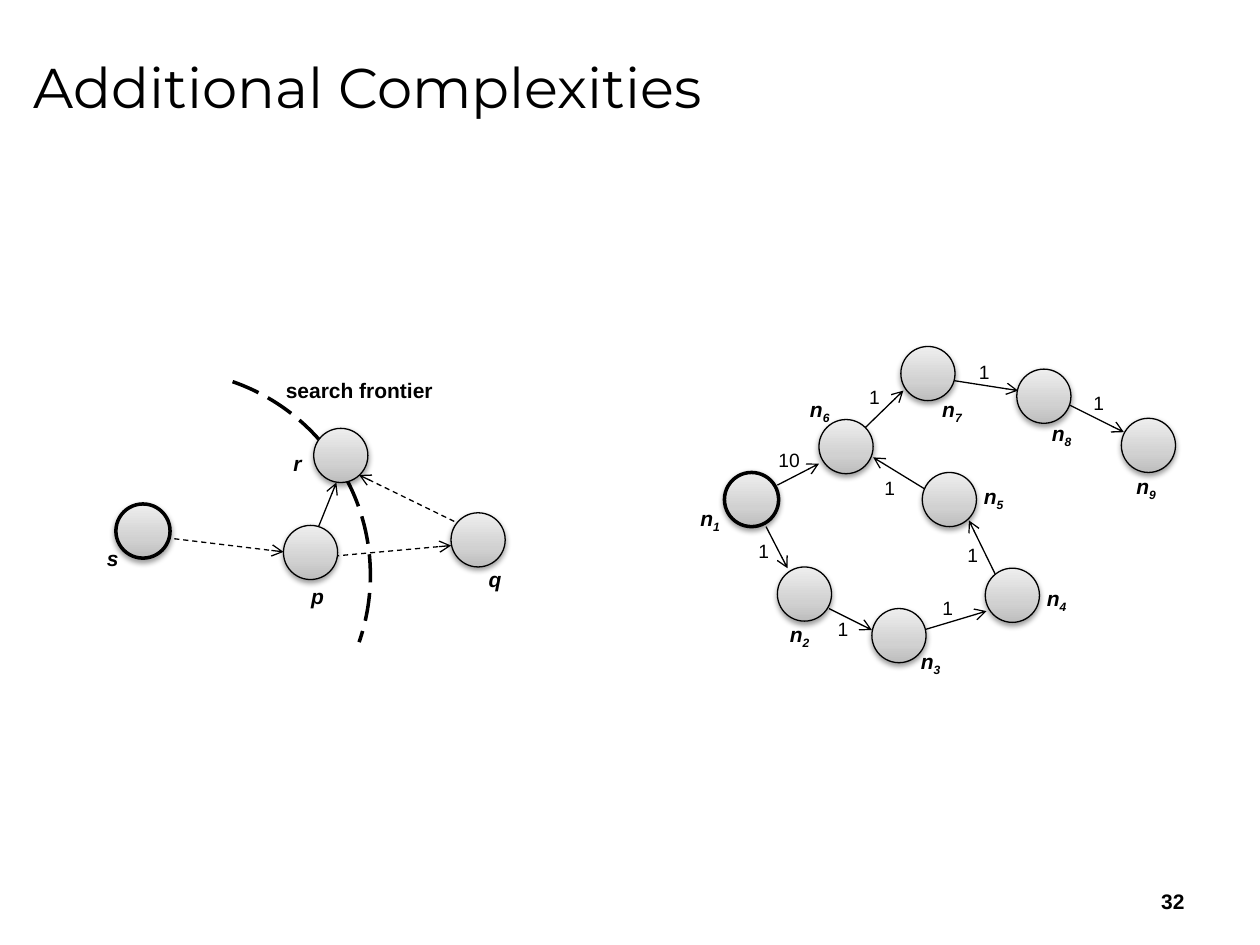
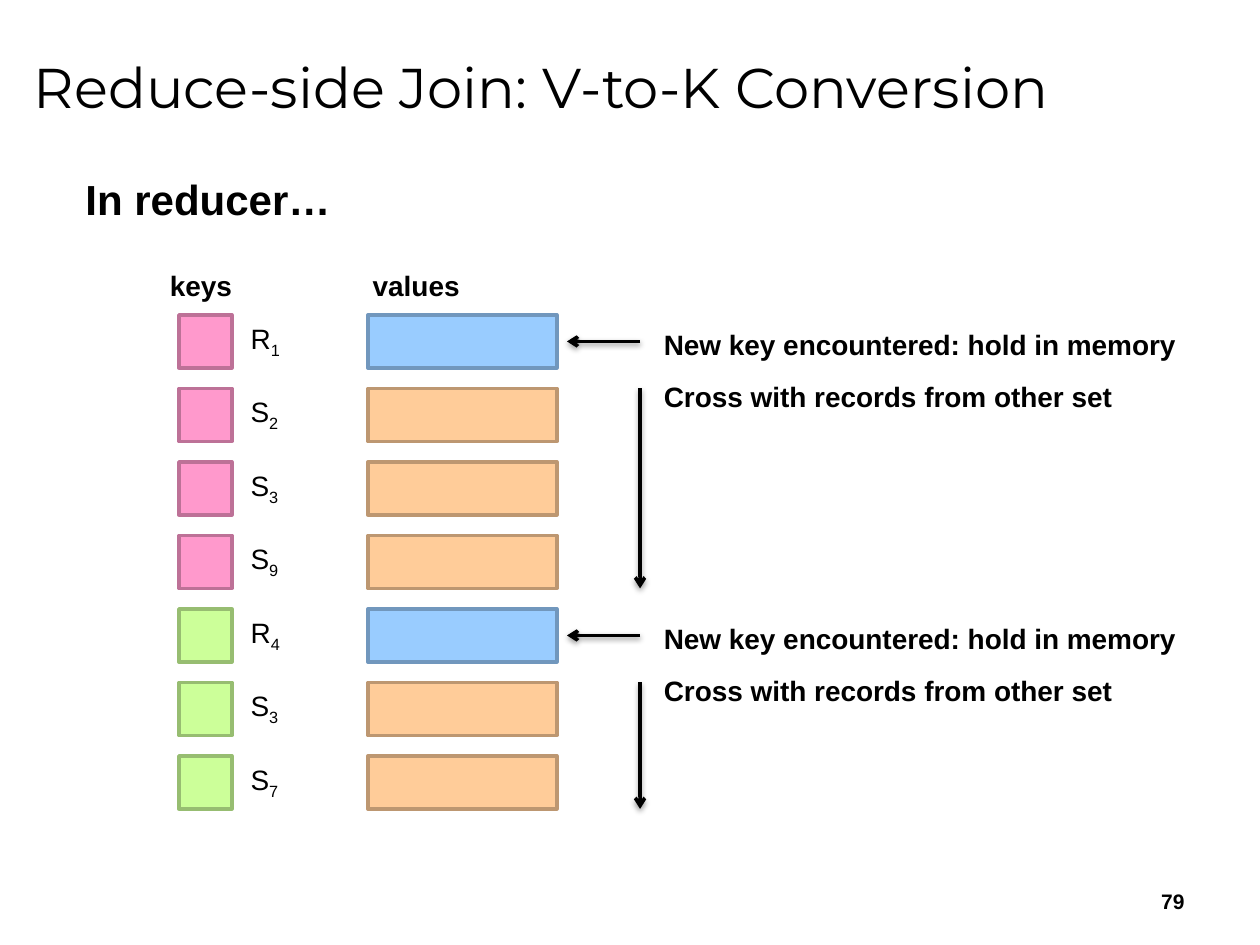
from lxml.etree import SubElement
from pptx import Presentation
from pptx.dml.color import RGBColor
from pptx.enum.dml import MSO_LINE
from pptx.enum.shapes import MSO_CONNECTOR, MSO_SHAPE
from pptx.enum.text import MSO_ANCHOR, MSO_AUTO_SIZE, PP_ALIGN
from pptx.oxml.ns import qn
from pptx.util import Inches, Pt

BLACK = "000000"
BLUE, ORANGE = ("99CCFF", "7197BD"), ("FFCC99", "BD9771")
PINK, GREEN = ("FF99CC", "BD7197"), ("CCFF99", "97BD71")
NODE_GRADIENT = ((0, "BDBDBD"), (35, "D1D1D1"), (100, "EEEEEE"))
NODE = 0.43
DASH = MSO_LINE.DASH


def rgb(color):
    return RGBColor.from_string(color)


def add_xml(parent, tag, **attrs):
    return SubElement(parent, qn(tag), {k: str(v) for k, v in attrs.items()})


def add_color(parent, color):
    return add_xml(parent, "a:srgbClr", val=color)


class Deck:
    font = "Arial"
    title_font = "Montserrat"

    def __init__(self):
        self.prs = Presentation()
        self.prs.slide_width, self.prs.slide_height = Inches(10), Inches(7.5)

    def slide(self, title, number):
        self.s = self.prs.slides.add_slide(self.prs.slide_layouts[6])
        self.text(0.17, 0.12, 9.5, 1.12, title, 32, font=self.title_font,
                  wrap=True, anchor=MSO_ANCHOR.MIDDLE)
        self.text(7.17, 6.95, 2.33, 0.4, number, 12, bold=True, wrap=True,
                  anchor=MSO_ANCHOR.MIDDLE, align=PP_ALIGN.RIGHT)

    def text(self, x, y, w, h, text, size, sub="", bold=False, italic=False,
             font=None, wrap=False, anchor=MSO_ANCHOR.TOP, align=PP_ALIGN.LEFT):
        box = self.s.shapes.add_textbox(Inches(x), Inches(y), Inches(w), Inches(h))
        tf = box.text_frame
        tf.word_wrap = wrap
        tf.auto_size = MSO_AUTO_SIZE.NONE if wrap else MSO_AUTO_SIZE.SHAPE_TO_FIT_TEXT
        tf.vertical_anchor = anchor
        p = tf.paragraphs[0]
        p.alignment = align
        p.font.size, p.font.name = Pt(size), font or self.font
        p.font.bold, p.font.italic = bold, italic
        p.font.color.rgb = rgb(BLACK)
        p.add_run().text = text
        if sub:
            r = p.add_run()
            r.text = sub
            r.font._element.set("baseline", "-25000")

    def outline(self, line, color, width, dash=None):
        line.color.rgb = rgb(color)
        line.width = Pt(width)
        if dash:
            line.dash_style = dash

    def effects(self, sp, shadow):
        effects = add_xml(sp._element.spPr, "a:effectLst")
        if shadow:
            outer = add_xml(effects, "a:outerShdw", blurRad=40000, dist=20000,
                            dir=5400000, rotWithShape=0)
            add_xml(add_color(outer, BLACK), "a:alpha", val=38000)

    def shape(self, kind, x, y, w, h):
        return self.s.shapes.add_shape(kind, Inches(x), Inches(y), Inches(w), Inches(h))

    def box(self, x, y, w, h, colors):
        sp = self.shape(MSO_SHAPE.RECTANGLE, x, y, w, h)
        sp.fill.solid()
        sp.fill.fore_color.rgb = rgb(colors[0])
        self.outline(sp.line, colors[1], 2)
        self.effects(sp, False)

    def node(self, x, y, width=0.75):
        sp = self.shape(MSO_SHAPE.OVAL, x, y, NODE, NODE)
        grad = add_xml(sp._element.spPr, "a:gradFill", rotWithShape=1)
        stops = add_xml(grad, "a:gsLst")
        for pos, color in NODE_GRADIENT:
            add_color(add_xml(stops, "a:gs", pos=pos * 1000), color)
        add_xml(grad, "a:lin", ang=16200000, scaled=0)
        self.outline(sp.line, BLACK, width)
        self.effects(sp, True)

    def arc(self, x, y, size, rotation):
        sp = self.shape(MSO_SHAPE.ARC, x, y, size, size)
        sp.rotation = rotation
        sp.fill.background()
        self.outline(sp.line, BLACK, 2, MSO_LINE.LONG_DASH)
        self.effects(sp, False)

    def arrow(self, x1, y1, x2, y2, width=0.75, dash=None, shadow=False):
        c = self.s.shapes.add_connector(MSO_CONNECTOR.STRAIGHT, Inches(x1), Inches(y1),
                                        Inches(x2), Inches(y2))
        self.outline(c.line, BLACK, width, dash)
        add_xml(c.line._get_or_add_ln(), "a:tailEnd", type="arrow")
        self.effects(c, shadow)


def complexities(deck):
    deck.slide("Additional Complexities", "32")
    deck.arc(-0.31, 2.94, 3.25, 19.1)
    for *ends, dash in (
        (1.17, 4.25, 2.25, 4.38, DASH),
        (2.58, 4.42, 3.58, 4.33, DASH),
        (3.67, 4.17, 2.85, 3.77, DASH),
        (2.5, 4.25, 2.67, 3.83, None),
    ):
        deck.arrow(*ends, dash=dash)
    for name, x, y, label_x, label_y, label_w, width in (
        ("s", 0.92, 4, 0.75, 4.28, 0.29, 2),
        ("r", 2.49, 3.4, 2.23, 3.53, 0.27, 0.75),
        ("p", 2.25, 4.17, 2.37, 4.58, 0.31, 0.75),
        ("q", 3.58, 4.07, 3.78, 4.45, 0.31, 0.75),
    ):
        deck.node(x, y, width)
        deck.text(label_x, label_y, label_w, 0.3, name, 12, bold=True, italic=True)
    deck.text(2.17, 2.95, 1.38, 0.3, "search frontier", 12, bold=True)

    edges = (
        (6.17, 3.85, 6.5, 3.68, "10", 6.08, 3.51),
        (6.08, 4.18, 6.25, 4.51, "1", 5.92, 4.23),
        (6.58, 4.83, 6.92, 5, "1", 6.55, 4.85),
        (7.33, 5, 7.83, 4.85, "1", 7.38, 4.68),
        (7.92, 4.6, 7.69, 4.13, "1", 7.58, 4.26),
        (7.42, 3.93, 6.93, 3.63, "1", 6.92, 3.73),
        (6.83, 3.43, 7.17, 3.1, "1", 6.8, 3.01),
        (7.5, 3.01, 8.08, 3.1, "1", 7.67, 2.81),
        (8.42, 3.18, 8.92, 3.43, "1", 8.58, 3.06),
    )
    nodes = (
        (5.75, 3.75, 5.46, 3.96),
        (6.17, 4.5, 6.17, 4.88),
        (6.92, 4.83, 7.21, 5.1),
        (7.82, 4.51, 8.21, 4.6),
        (7.32, 3.75, 7.71, 3.79),
        (6.5, 3.33, 6.33, 3.1),
        (7.15, 2.75, 7.38, 3.1),
        (8.07, 2.93, 8.25, 3.29),
        (8.9, 3.32, 8.92, 3.71),
    )
    for *ends, cost, x, y in edges:
        deck.arrow(*ends)
    for i, (x, y, label_x, label_y) in enumerate(nodes, 1):
        deck.node(x, y, 2 if i == 1 else 0.75)
        deck.text(label_x, label_y, 0.37, 0.3, "n", 12, str(i), bold=True, italic=True)
    for *ends, cost, x, y in edges:
        deck.text(x, y, 0.21 + 0.08 * len(cost), 0.29, cost, 11)


def reduce_side_join(deck):
    deck.slide("Reduce-side Join: V-to-K Conversion", "79")
    deck.text(0.58, 1.33, 2.17, 0.5, "In reducer…", 24, bold=True)
    deck.text(1.25, 2.08, 0.7, 0.37, "keys", 16, bold=True)
    deck.text(2.86, 2.08, 0.9, 0.37, "values", 16, bold=True)

    top, pitch, side = 2.5, 7 / 12, 0.42
    groups = ((PINK, ("R1", "S2", "S3", "S9")), (GREEN, ("R4", "S3", "S7")))
    for key_colors, records in groups:
        last = top + pitch * (len(records) - 1)
        for i, (relation, index) in enumerate(records):
            y = top + pitch * i
            deck.box(1.42, y, side, side, key_colors)
            deck.text(1.89, y, 0.45, 0.37, relation, 16, index)
            deck.box(2.92, y, 1.5, side, BLUE if relation == "R" else ORANGE)
        middle = top + side / 2
        deck.arrow(5.08, middle, 4.5, middle, 2, shadow=True)
        deck.arrow(5.08, top + pitch, 5.08, last + side, 2, shadow=True)
        deck.text(5.17, top + 0.05, 4.32, 0.37, "New key encountered: hold in memory",
                  16, bold=True)
        deck.text(5.17, top + 0.46, 3.81, 0.37, "Cross with records from other set",
                  16, bold=True)
        top = last + pitch


def main():
    deck = Deck()
    complexities(deck)
    reduce_side_join(deck)
    deck.prs.save("out.pptx")


if __name__ == "__main__":
    main()
